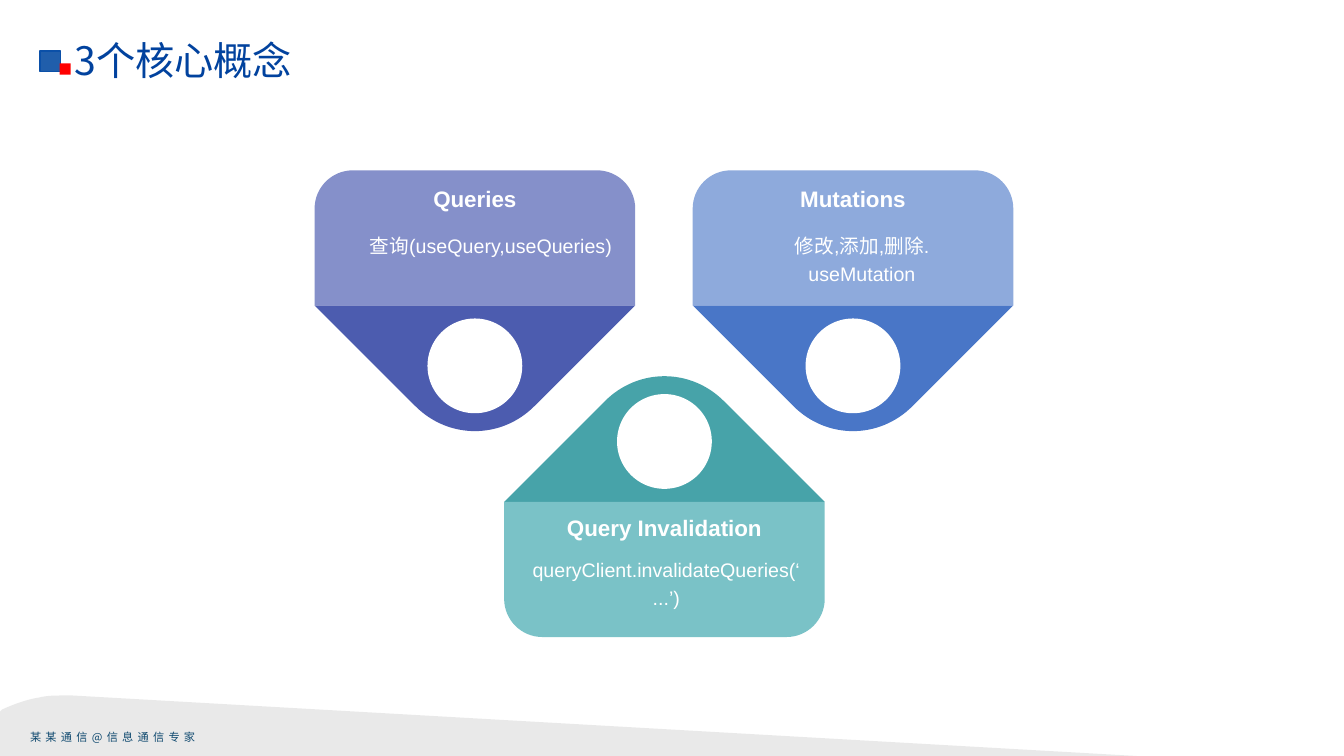
from dataclasses import dataclass

from lxml import etree
from pptx import Presentation
from pptx.dml.color import RGBColor
from pptx.enum.shapes import MSO_SHAPE
from pptx.enum.text import MSO_ANCHOR, MSO_AUTO_SIZE, PP_ALIGN
from pptx.oxml.ns import qn
from pptx.util import Inches, Pt

RECT, OVAL = MSO_SHAPE.RECTANGLE, MSO_SHAPE.OVAL
LEFT, MID = PP_ALIGN.LEFT, PP_ALIGN.CENTER
TOP, CORE = MSO_ANCHOR.TOP, MSO_ANCHOR.MIDDLE
FIXED = MSO_AUTO_SIZE.NONE


@dataclass(frozen=True)
class Theme:
    """Colours, fonts and type sizes of the slide."""
    white: str = "FFFFFF"
    title: str = "01429E"
    foot: str = "0F496F"
    wedge: str = "D9D9D9"
    mark: str = "205EAB"
    edge: str = "0B50A8"
    dot: str = "FF0000"
    latin: str = "Arial"
    asian: str = "Noto Sans CJK SC"
    big: int = 28
    head: int = 16
    body: int = 14
    small: int = 8


THEME = Theme()
HALF, TALL = 1.59, 1.34
ROUND, PULL = 0.38, 0.17
HOLE, DROP = 0.94, 0.6

CARDS = [
    dict(x=4.71, y=3.03, way=1, tip="4C5CAF", pane="8590CA",
         head="Queries", top=1.76, lead=1.1,
         lines=["查询(useQuery,useQueries)"], box=(3.44, 2.23, 2.86, 0.77)),
    dict(x=8.46, y=3.03, way=1, tip="4976C7", pane="8EAADC",
         head="Mutations", top=1.76, lead=1.1,
         lines=["修改,添加,删除.", "useMutation"], box=(7.05, 2.22, 3, 0.81)),
    dict(x=6.59, y=4.98, way=-1, tip="47A3A9", pane="7AC2C7",
         head="Query Invalidation", top=5, lead=1.2,
         lines=["queryClient.invalidateQueries(‘...’)"],
         box=(5.18, 5.44, 2.86, 0.77)),
]


def paint(shape, fill, line=None):
    """Give a shape a flat fill and an optional outline."""
    shape.shadow.inherit = False
    shape.fill.solid()
    shape.fill.fore_color.rgb = RGBColor.from_string(fill)
    if line:
        shape.line.color.rgb = RGBColor.from_string(line)
        shape.line.width = Pt(1.25)
    else:
        shape.line.fill.background()
    return shape


def block(slide, kind, box, fill, line=None):
    """Add a preset shape."""
    shape = slide.shapes.add_shape(kind, *map(Inches, box))
    return paint(shape, fill, line)


def bend(shape, steps):
    """Merge the three line steps of each curve into one cubic step."""
    rows = iter(list(shape._element.iter(qn("a:lnTo"))))
    for step in steps:
        row = next(rows)
        if len(step) == 3:
            row.addprevious(cubic := etree.Element(qn("a:cubicBezTo")))
            for part in (row, next(rows), next(rows)):
                cubic.append(part[0])
                part.getparent().remove(part)


def outline(slide, start, steps, fill):
    """Add a closed freeform; a step has one point, or three for a curve."""
    dots = [start, *(dot for step in steps for dot in step)]
    spots = [(Inches(x), Inches(y)) for x, y in dots]
    pen = slide.shapes.build_freeform(*spots[0], scale=1.0)
    pen.add_line_segments(spots[1:], close=True)
    shape = pen.convert_to_shape()
    bend(shape, steps)
    return paint(shape, fill)


def write(shape, lines, size, color, face, align=MID, lead=1.0, bold=False,
          anchor=TOP, wrap=True, gap=None):
    """Fill a text shape with formatted paragraphs."""
    frame = shape.text_frame
    look = dict(word_wrap=wrap, vertical_anchor=anchor, auto_size=FIXED)
    for key, val in look.items():
        setattr(frame, key, val)
    frame.text = "\n".join(lines)
    for para in frame.paragraphs:
        para.alignment, para.line_spacing = align, lead
        for run in para.runs:
            for key, val in dict(size=Pt(size), name=face, bold=bold).items():
                setattr(run.font, key, val)
            run.font.color.rgb = RGBColor.from_string(color)
            props = run.font._element
            etree.SubElement(props, qn("a:ea")).set("typeface", THEME.asian)
            if gap:
                props.set("spc", str(gap * 100))


def label(slide, box, lines, size, color, face, **look):
    """Add a text box."""
    shape = slide.shapes.add_textbox(*map(Inches, box))
    write(shape, lines, size, color, face, **look)


def base(slide):
    """Draw the foot wedge, foot line and title mark."""
    steps = [[(0.66, 6.9), (0.69, 6.9), (0.72, 6.9)],
             [(11.27, 7.5)], [(0, 7.5)], [(0, 7.06)], [(0.02, 7.04)],
             [(0.13, 6.99), (0.26, 6.94), (0.39, 6.92)],
             [(0.47, 6.9), (0.55, 6.9), (0.64, 6.9)]]
    wedge = outline(slide, (0.64, 6.9), steps, THEME.wedge)
    tint = wedge._element.spPr.find(qn("a:solidFill"))[0]
    etree.SubElement(tint, qn("a:alpha")).set("val", "56000")
    label(slide, (0.2, 7.2, 1.9, 0.24), ["某某通信@信息通信专家"], THEME.small,
          THEME.foot, THEME.asian, align=LEFT, wrap=False, gap=3)
    block(slide, RECT, (0.4, 0.51, 0.2, 0.2), THEME.mark, THEME.edge)
    block(slide, RECT, (0.59, 0.63, 0.11, 0.11), THEME.dot)


def title(slide, text):
    """Place and format the title."""
    shape = slide.shapes.title
    spot = dict(left=0.64, top=0.34, width=9.08, height=0.5)
    for key, val in spot.items():
        setattr(shape, key, Inches(val))
    write(shape, [text], THEME.big, THEME.title, THEME.asian,
          align=LEFT, anchor=CORE)


def card(slide, x, y, way, tip, pane, head, top, lead, lines, box):
    """Draw a pointed card with its hole, heading and text."""
    def place(steps):
        """Move steps to the card, flipped by its direction."""
        return [[(x + dx, y + way * dy) for dx, dy in step] for step in steps]

    start = (x + HALF, y)
    nose = [[(0.59, 1)], [(0.26, 1.33), (-0.26, 1.33), (-0.59, 1)],
            [(-HALF, 0)]]
    outline(slide, start, place(nose), tip)
    side, rise = HALF - ROUND, ROUND - TALL
    ends = [[(HALF, rise)],
            [(HALF, PULL - TALL), (HALF - PULL, -TALL), (side, -TALL)],
            [(-side, -TALL)],
            [(PULL - HALF, -TALL), (-HALF, PULL - TALL), (-HALF, rise)],
            [(-HALF, 0)]]
    outline(slide, start, place(ends), pane)
    block(slide, OVAL, (x - HOLE / 2, y + way * DROP - HOLE / 2, HOLE, HOLE),
          THEME.white)
    label(slide, (x - 1.27, top, 2.54, 0.55), [head], THEME.head, THEME.white,
          THEME.latin, lead=lead, bold=True)
    label(slide, box, lines, THEME.body, THEME.white, THEME.latin, lead=1.2)


def main():
    """Build and save the slide."""
    deck = Presentation()
    deck.slide_width, deck.slide_height = Inches(13.33), Inches(7.5)
    slide = deck.slides.add_slide(deck.slide_layouts[5])
    base(slide)
    title(slide, "3个核心概念")
    for item in CARDS:
        card(slide, **item)
    deck.save("out.pptx")


if __name__ == "__main__":
    main()
